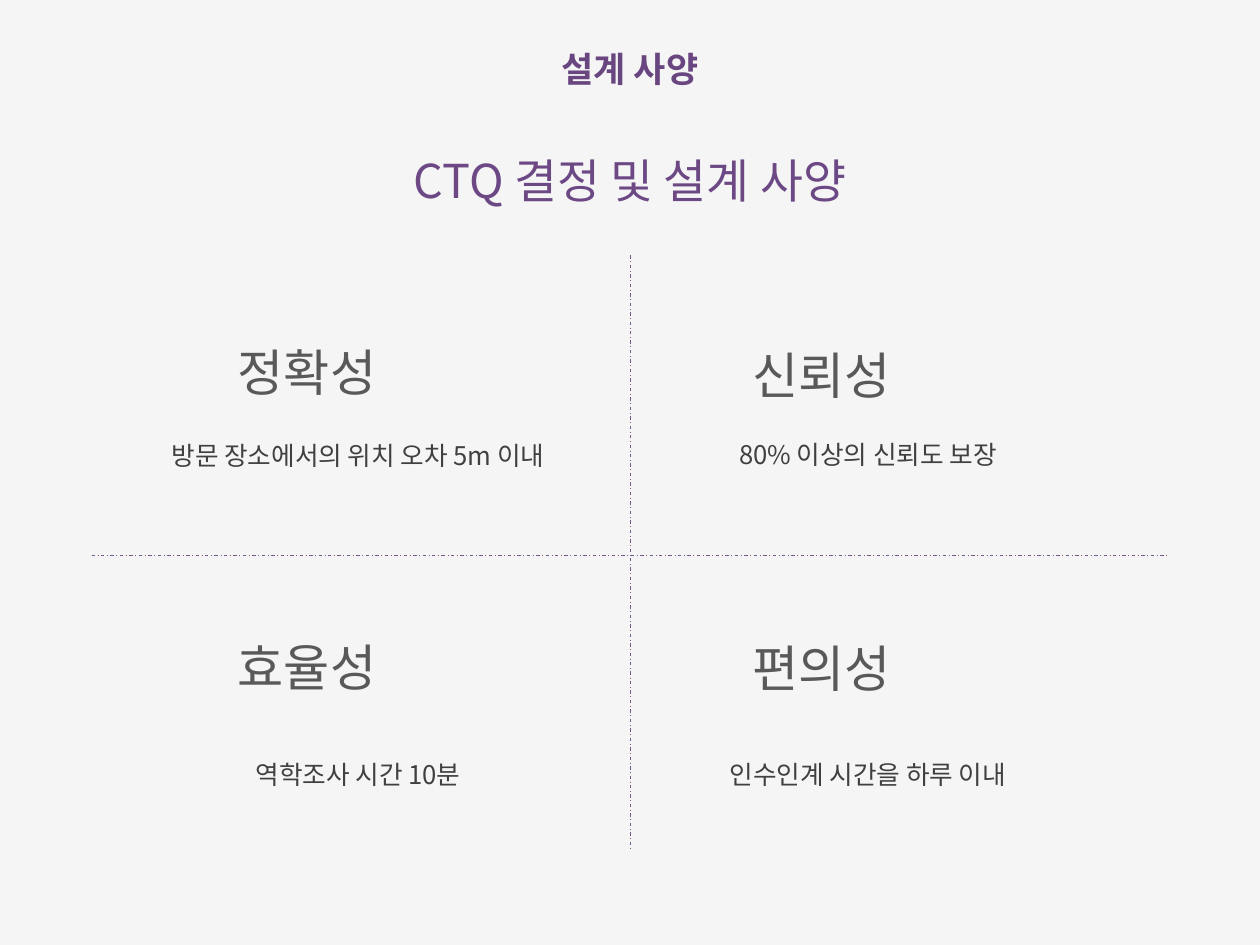
from lxml.etree import SubElement
from pptx import Presentation
from pptx.dml.color import RGBColor as Rgb
from pptx.enum.dml import MSO_LINE as LineDash
from pptx.enum.shapes import MSO_CONNECTOR as Connector
from pptx.enum.text import MSO_AUTO_SIZE as AutoSize, PP_ALIGN as Align
from pptx.oxml.ns import qn
from pptx.util import Inches, Pt

COLORS = {
    "background": "F5F5F5",
    "title": "6C4884",
    "section": "694680",
    "heading": "595959",
    "detail": "404040",
    "divider": "77588C",
}
FONT = "Noto Sans CJK KR"

presentation = Presentation()
presentation.slide_width = Inches(15)
presentation.slide_height = Inches(11.25)
COLUMN = presentation.slide_width / 60
ROW = presentation.slide_height / 45

slide = presentation.slides.add_slide(presentation.slide_layouts[6])
slide.background.fill.solid()
slide.background.fill.fore_color.rgb = Rgb.from_string(COLORS["background"])


def add_text(text, *, center, top, width, height, size, color,
             bold=False, wrap=True, spacing=None):
    left = center - width / 2
    shape = slide.shapes.add_textbox(int(left * COLUMN), int(top * ROW),
                                     int(width * COLUMN), int(height * ROW))
    frame = shape.text_frame
    frame.word_wrap = wrap
    frame.auto_size = AutoSize.SHAPE_TO_FIT_TEXT
    paragraph = frame.paragraphs[0]
    paragraph.alignment = Align.CENTER
    paragraph.line_spacing = spacing
    run = paragraph.add_run()
    run.text = text
    run.font.size = Pt(size)
    run.font.bold = bold
    run.font.color.rgb = Rgb.from_string(COLORS[color])
    run.font.name = FONT
    SubElement(run.font._element, qn("a:ea")).set("typeface", FONT)


add_text("설계 사양", center=30, top=2.08, width=7.6, height=2.44,
         size=30, color="section", bold=True, wrap=False)
add_text("CTQ 결정 및 설계 사양", center=30, top=6.52, width=43, height=3.36,
         size=40, color="title", spacing=1.2)

heading_centers = [14.62, 39.12]
detail_centers = [17.05, 41.33]
quadrants = [
    (0, ("정확성", 15.48, 9.24), ("방문 장소에서의 위치 오차 5m 이내", 20.76, 19.44)),
    (1, ("신뢰성", 15.64, 8.52), ("80% 이상의 신뢰도 보장", 20.72, 13.96)),
    (0, ("효율성", 29.52, 8.68), ("역학조사 시간 10분", 35.92, 11.08)),
    (1, ("편의성", 29.56, 10.92), ("인수인계 시간을 하루 이내", 35.92, 14.56)),
]
for side, (heading, heading_top, heading_width), (detail, detail_top, detail_width) in quadrants:
    add_text(heading, center=heading_centers[side], top=heading_top,
             width=heading_width, height=3.6, size=43, color="heading", spacing=1.2)
    add_text(detail, center=detail_centers[side], top=detail_top,
             width=detail_width, height=1.88, size=22, color="detail", wrap=False)

dividers = [(4.36, 26.44, 55.64, 26.44), (30, 12.16, 30, 40.48)]
for start_column, start_row, end_column, end_row in dividers:
    divider = slide.shapes.add_connector(
        Connector.STRAIGHT, int(start_column * COLUMN), int(start_row * ROW),
        int(end_column * COLUMN), int(end_row * ROW))
    divider.line.color.rgb = Rgb.from_string(COLORS["divider"])
    divider.line.width = Pt(0.75)
    divider.line.dash_style = LineDash.DASH_DOT
    SubElement(divider._element.spPr, qn("a:effectLst"))

presentation.save("out.pptx")
